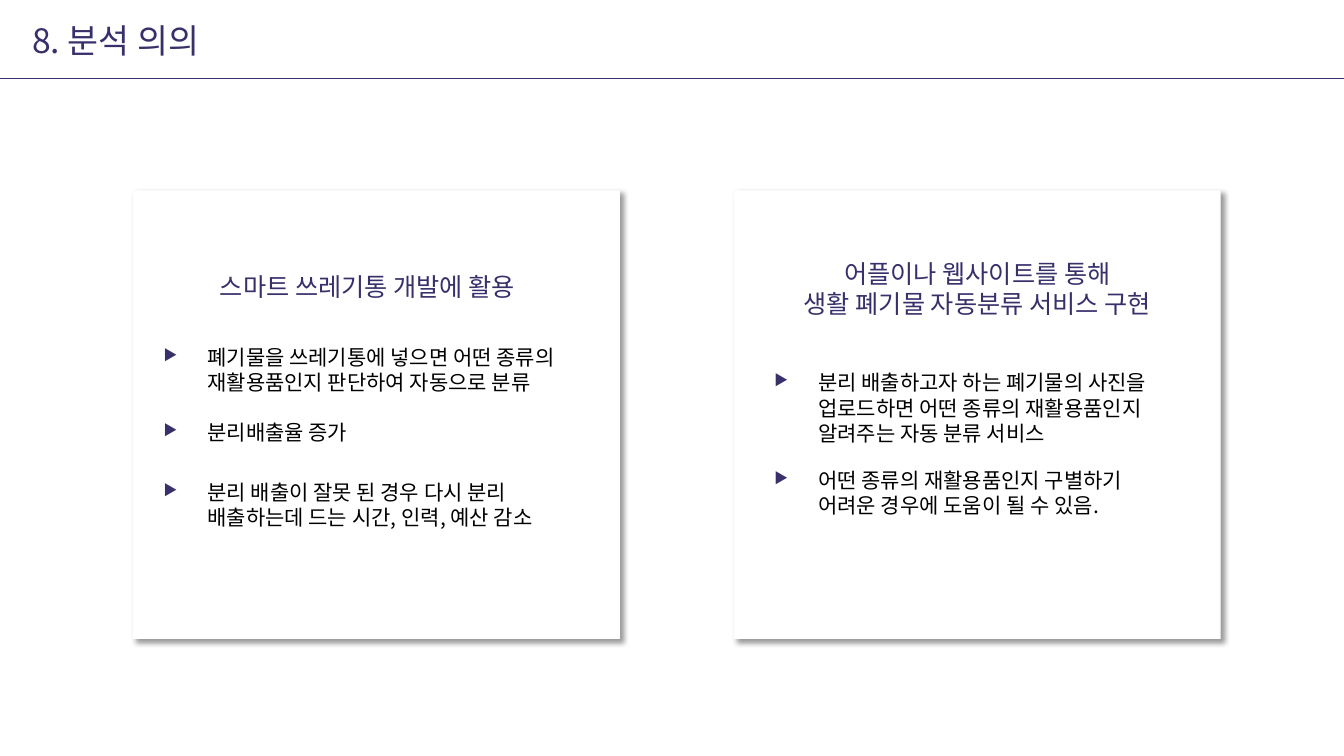
from dataclasses import dataclass

from lxml import etree
from pptx import Presentation, util as u
from pptx.dml.color import RGBColor
from pptx.enum import shapes, text
from pptx.oxml import ns

TITLE = "8. 분석 의의"
CARDS = [
    {
        "left": 9.9,
        "head": (["스마트 쓰레기통 개발에 활용"], (9.9, 35.2, 34.88)),
        "col": 14.7,
        "items": [
            (44.93, ["폐기물을 쓰레기통에 넣으면 어떤 종류의",
                     "재활용품인지 판단하여 자동으로 분류"]),
            (54.8, ["분리배출율 증가"]),
            (62.8, ["분리 배출이 잘못 된 경우 다시 분리",
                    "배출하는데 드는 시간, 인력, 예산 감소"]),
        ],
    },
    {
        "left": 54.6,
        "head": (["어플이나 웹사이트를 통해", "생활 폐기물 자동분류 서비스 구현"],
                 (56.33, 33.47, 32.78)),
        "col": 60.15,
        "items": [
            (48.27, ["분리 배출하고자 하는 폐기물의 사진을",
                     "업로드하면 어떤 종류의 재활용품인지",
                     "알려주는 자동 분류 서비스"]),
            (61.2, ["어떤 종류의 재활용품인지 구별하기",
                    "어려운 경우에 도움이 될 수 있음."]),
        ],
    },
]


@dataclass(frozen=True)
class Theme:
    font: str = "Noto Sans CJK KR"
    ink: str = "37306B"
    body: str = "000000"
    paper: str = "FFFFFF"
    title: int = 24
    head: int = 18
    item: int = 15
    mark: int = 10
    lead: float = 1.2


T = Theme()
LEFT, MID = text.PP_ALIGN.LEFT, text.PP_ALIGN.CENTER
deck = Presentation()
deck.slide_width, deck.slide_height = u.Inches(13.33), u.Inches(7.5)
slide = deck.slides.add_slide(deck.slide_layouts[5])


def across(part):
    return round(deck.slide_width * part / 100)


def down(part):
    return round(deck.slide_height * part / 100)


def assign(obj, vals):
    for key, val in vals.items():
        setattr(obj, key, val)


def write(box, lines, size, color, align):
    frame = box.text_frame
    assign(frame, {"text": "\n".join(lines), "word_wrap": True,
                   "vertical_anchor": text.MSO_ANCHOR.TOP,
                   "auto_size": text.MSO_AUTO_SIZE.SHAPE_TO_FIT_TEXT})
    for para in frame.paragraphs:
        assign(para, {"alignment": align, "line_spacing": u.Pt(size * T.lead),
                      "space_before": u.Pt(0)})
        for run in para.runs:
            assign(run.font, {"name": T.font, "size": u.Pt(size)})
            run.font.color.rgb = RGBColor.from_string(color)
            east = etree.SubElement(run.font._element, ns.qn("a:ea"))
            east.set("typeface", T.font)


def label(group, spot, lines, size, color, align):
    left, top, wide = spot
    high = u.Pt(len(lines) * size * T.lead) + u.Inches(0.1)
    box = group.shapes.add_textbox(across(left), down(top), across(wide), high)
    write(box, lines, size, color, align)


def shade(shape):
    fx = etree.SubElement(shape._element.spPr, ns.qn("a:effectLst"))
    cast = etree.SubElement(fx, ns.qn("a:outerShdw"), {
        "blurRad": str(u.Pt(4)), "dist": str(u.Pt(3)), "dir": "2700000",
        "algn": "tl", "rotWithShape": "0"})
    tone = etree.SubElement(cast, ns.qn("a:srgbClr"), val=T.body)
    etree.SubElement(tone, ns.qn("a:alpha"), val="40000")


def draw(card):
    group = slide.shapes.add_group_shape()
    panel = group.shapes.add_shape(
        shapes.MSO_SHAPE.RECTANGLE, across(card["left"]), down(25.2),
        across(36.22), down(59.33))
    panel.fill.solid()
    panel.fill.fore_color.rgb = RGBColor.from_string(T.paper)
    panel.line.fill.background()
    shade(panel)
    lines, spot = card["head"]
    label(group, spot, lines, T.head, T.ink, MID)
    for top, lines in card["items"]:
        label(group, (card["col"] - 3.8, top + 0.27, 3.53), ["▶"],
              T.mark, T.ink, MID)
        label(group, (card["col"], top, 29.02), lines, T.item, T.body, LEFT)


def main():
    title = slide.shapes.title
    assign(title, {"left": across(1.65), "top": down(2),
                   "width": across(75.15), "height": down(6.67)})
    write(title, [TITLE], T.title, T.ink, LEFT)
    for card in CARDS:
        draw(card)
    rule = slide.shapes.add_connector(
        shapes.MSO_CONNECTOR.STRAIGHT, 0, down(10.4), across(100), down(10.4))
    rule.line.width = u.Pt(1)
    rule.line.color.rgb = RGBColor.from_string(T.ink)
    etree.SubElement(rule._element.spPr, ns.qn("a:effectLst"))
    deck.save("out.pptx")


if __name__ == "__main__":
    main()
